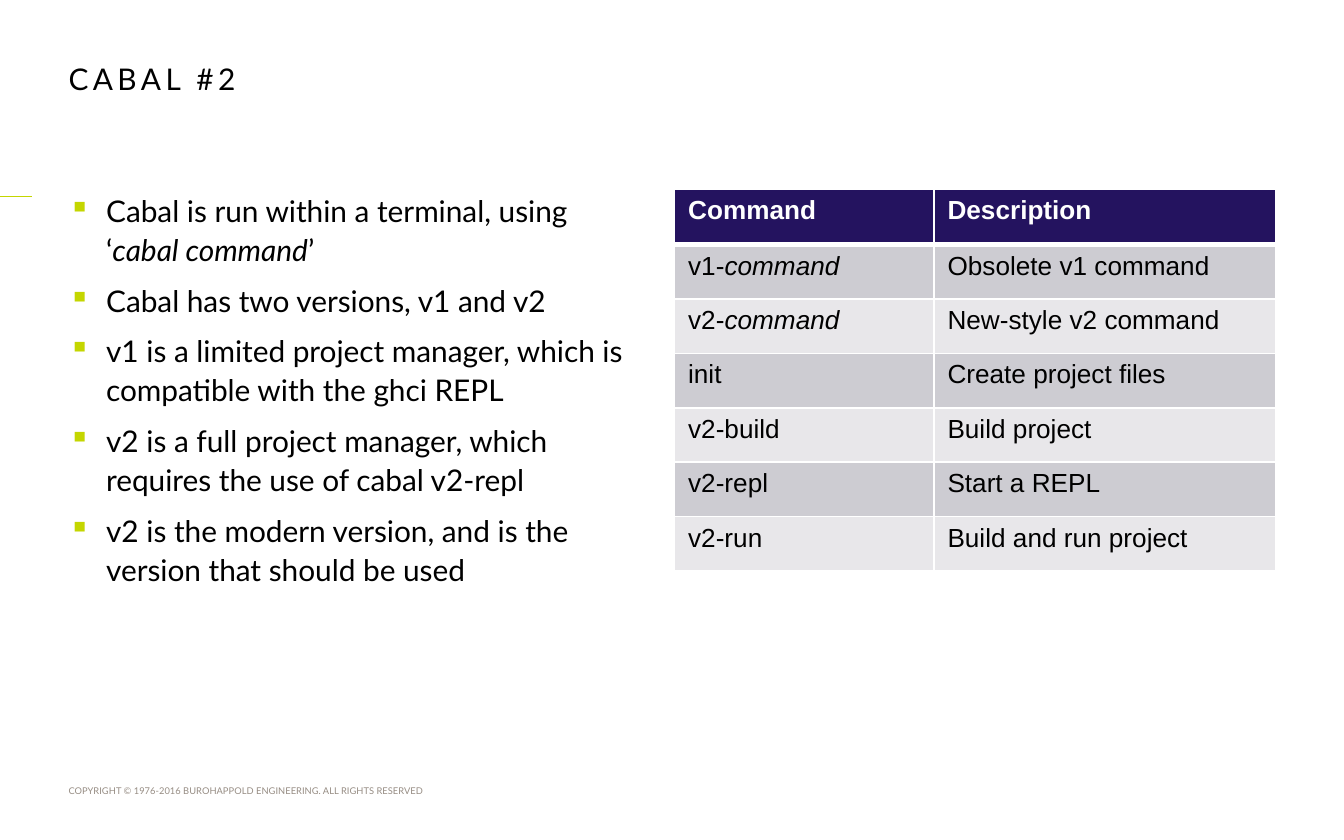
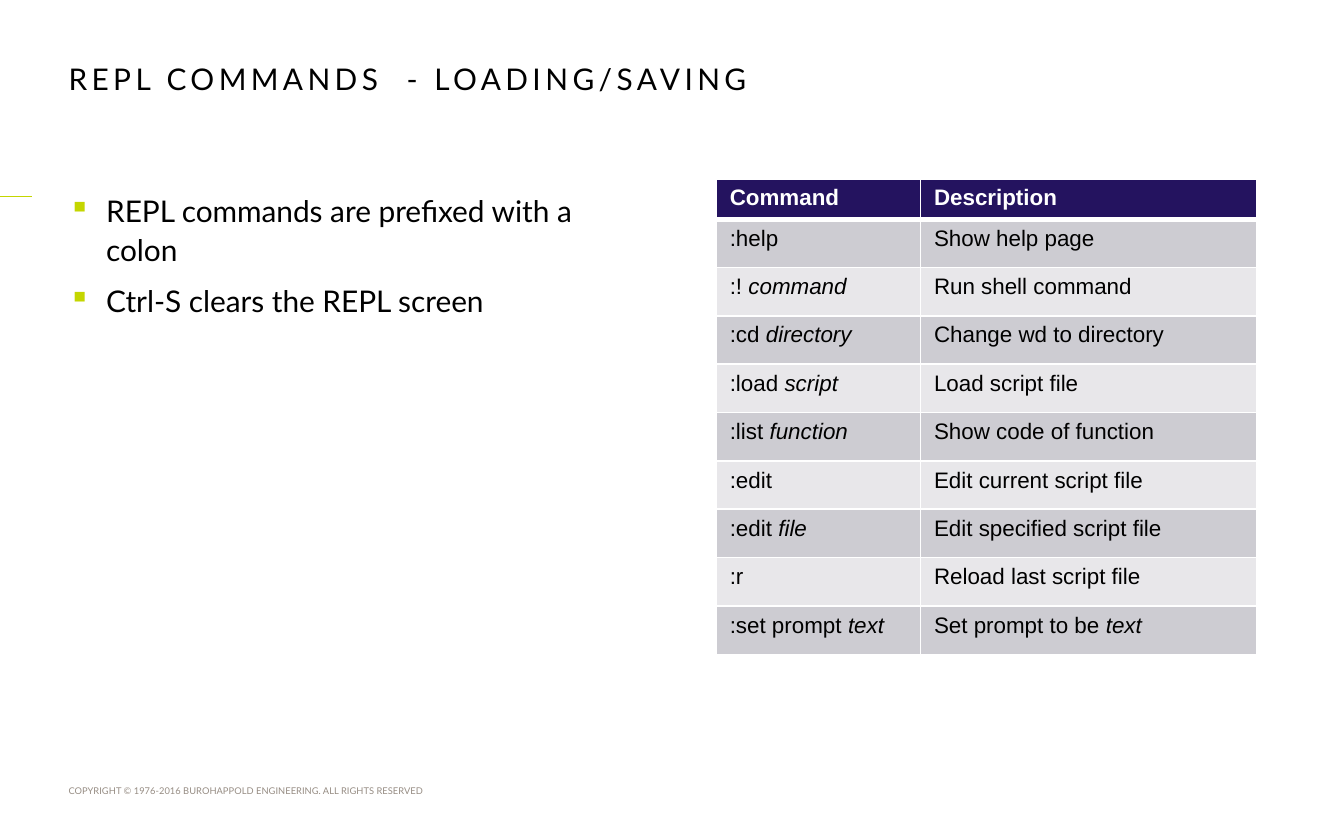
"""Build two slides on Cabal and REPL commands, each with bullets and a command table."""
from dataclasses import dataclass

from lxml import etree
from pptx import Presentation
from pptx import util as u
from pptx.dml.color import RGBColor
from pptx.enum import shapes, text
from pptx.oxml.ns import qn


@dataclass(frozen=True)
class Theme:
    ink: str = "000000"
    paper: str = "FFFFFF"
    accent: str = "C4D600"
    muted: str = "968C83"
    header: str = "24135F"
    bands: tuple[str, str] = ("CDCCD2", "E8E7EA")
    text_font: str = "Lato"
    table_font: str = "Arial"
    text_size: int = 16
    footer_size: int = 5
    title_spacing: int = 240
    line_pitch: int = 21
    paragraph_gap: int = 6
    rule_width: float = 0.5
    border: int = 1
    header_border: int = 3


@dataclass(frozen=True)
class Area:
    left: float
    top: float
    width: float
    height: float

    def lengths(self) -> list[u.Length]:
        return [u.Inches(n) for n in (self.left, self.top, self.width, self.height)]


@dataclass(frozen=True)
class CommandTable:
    area: Area
    columns: tuple[float, float]
    header_height: float
    size: int
    commands: list[tuple[str, str]]


@dataclass(frozen=True)
class Topic:
    title: str
    bullets: list[str]
    table: CommandTable


THEME = Theme()
FOOTER = "COPYRIGHT © 1976-2016 BUROHAPPOLD ENGINEERING. ALL RIGHTS RESERVED"
FOOTER_AREA = Area(0.51, 5.84, 3.15, 0.08)
TITLE_AREA = Area(0.51, 0.45, 5.98, 0.27)
BODY_AREA = Area(0.51, 1.41, 4.18, 4.08)
RULE_LEFT, RULE_RIGHT, RULE_TOP = -0.12, 0.24, 1.46
BULLET_INDENT = 0.28
HEADINGS = ("Command", "Description")

TOPICS = [
    Topic(
        "CABAL #2",
        [
            "Cabal is run within a terminal, using ‘*cabal command*’",
            "Cabal has two versions, v1 and v2",
            "v1 is a limited project manager, which is compatible with the ghci REPL",
            "v2 is a full project manager, which requires the use of cabal v2-repl",
            "v2 is the modern version, and is the version that should be used",
        ],
        CommandTable(Area(5.02, 1.41, 4.47, 2.84), (1.93, 2.54), 0.41, 14, [
            ("v1-*command*", "Obsolete v1 command"),
            ("v2-*command*", "New-style v2 command"),
            ("init", "Create project files"),
            ("v2-build", "Build project"),
            ("v2-repl", "Start a REPL"),
            ("v2-run", "Build and run project"),
        ]),
    ),
    Topic(
        "REPL COMMANDS  - LOADING/SAVING",
        [
            "REPL commands are prefixed with a colon",
            "Ctrl-S clears the REPL screen",
        ],
        CommandTable(Area(5.33, 1.33, 4.02, 3.51), (1.52, 2.5), 0.27, 12, [
            (":help", "Show help page"),
            (":! *command*", "Run shell command"),
            (":cd *directory*", "Change wd to directory"),
            (":load *script*", "Load script file"),
            (":list *function*", "Show code of function"),
            (":edit", "Edit current script file"),
            (":edit *file*", "Edit specified script file"),
            (":r", "Reload last script file"),
            (":set prompt *text*", "Set prompt to be *text*"),
        ]),
    ),
]


def write(para, words: str, font: str, size: int, color: str, bold: bool = False) -> None:
    for index, part in enumerate(words.split("*")):
        if part:
            span = para.add_run()
            span.text = part
            span.font.name = font
            span.font.size = u.Pt(size)
            span.font.color.rgb = RGBColor.from_string(color)
            span.font.bold = bold
            span.font.italic = index % 2 == 1


def add_box(page, area: Area):
    frame = page.shapes.add_textbox(*area.lengths()).text_frame
    frame.word_wrap = True
    frame.margin_left = frame.margin_top = frame.margin_right = frame.margin_bottom = 0
    return frame


def add_line_text(page, area: Area, words: str, size: int, color: str, spacing: int = 0) -> None:
    frame = add_box(page, area)
    frame.auto_size = text.MSO_AUTO_SIZE.SHAPE_TO_FIT_TEXT
    para = frame.paragraphs[0]
    write(para, words, THEME.text_font, size, color)
    if spacing:
        para.runs[0].font._element.set("spc", str(spacing))


def add_rule(page) -> None:
    ends = [u.Inches(n) for n in (RULE_LEFT, RULE_TOP, RULE_RIGHT, RULE_TOP)]
    rule = page.shapes.add_connector(shapes.MSO_CONNECTOR.STRAIGHT, *ends)
    rule.line.color.rgb = RGBColor.from_string(THEME.accent)
    rule.line.width = u.Pt(THEME.rule_width)
    etree.SubElement(rule._element.spPr, qn("a:effectLst"))


def add_bullets(page, bullets: list[str]) -> None:
    frame = add_box(page, BODY_AREA)
    for index, words in enumerate(bullets):
        para = frame.add_paragraph() if index else frame.paragraphs[0]
        para.line_spacing = u.Pt(THEME.line_pitch)
        para.space_after = u.Pt(THEME.paragraph_gap)
        properties = para._p.get_or_add_pPr()
        properties.set("marL", str(u.Inches(BULLET_INDENT)))
        properties.set("indent", str(-u.Inches(BULLET_INDENT)))
        color = etree.SubElement(properties, qn("a:buClr"))
        etree.SubElement(color, qn("a:srgbClr"), val=THEME.accent)
        etree.SubElement(properties, qn("a:buChar"), char="▪")
        write(para, words, THEME.text_font, THEME.text_size, THEME.ink)


def set_borders(cell, top: int, bottom: int) -> None:
    properties = cell._tc.get_or_add_tcPr()
    widths = {"lnL": THEME.border, "lnR": THEME.border, "lnT": top, "lnB": bottom}
    for edge, width in widths.items():
        line = etree.SubElement(properties, qn(f"a:{edge}"), w=str(u.Pt(width)))
        fill = etree.SubElement(line, qn("a:solidFill"))
        etree.SubElement(fill, qn("a:srgbClr"), val=THEME.paper)


def add_command_table(page, design: CommandTable) -> None:
    rows = [HEADINGS, *design.commands]
    table = page.shapes.add_table(len(rows), len(HEADINGS), *design.area.lengths()).table
    for column, width in zip(table.columns, design.columns):
        column.width = u.Inches(width)
    row_height = (design.area.height - design.header_height) / len(design.commands)
    for r, entries in enumerate(rows):
        is_header = r == 0
        table.rows[r].height = u.Inches(design.header_height if is_header else row_height)
        fill = THEME.header if is_header else THEME.bands[(r - 1) % 2]
        color = THEME.paper if is_header else THEME.ink
        top = THEME.header_border if r == 1 else THEME.border
        bottom = THEME.header_border if is_header else THEME.border
        for c, words in enumerate(entries):
            cell = table.cell(r, c)
            set_borders(cell, top, bottom)
            cell.fill.solid()
            cell.fill.fore_color.rgb = RGBColor.from_string(fill)
            para = cell.text_frame.paragraphs[0]
            write(para, words, THEME.table_font, design.size, color, is_header)


def add_page(deck, topic: Topic) -> None:
    page = deck.slides.add_slide(deck.slide_layouts[6])
    add_line_text(page, FOOTER_AREA, FOOTER, THEME.footer_size, THEME.muted)
    add_rule(page)
    add_line_text(page, TITLE_AREA, topic.title, THEME.text_size, THEME.ink, THEME.title_spacing)
    add_bullets(page, topic.bullets)
    add_command_table(page, topic.table)


def main() -> None:
    deck = Presentation()
    deck.slide_width, deck.slide_height = u.Inches(10), u.Inches(6.25)
    for topic in TOPICS:
        add_page(deck, topic)
    deck.save("out.pptx")


if __name__ == "__main__":
    main()
